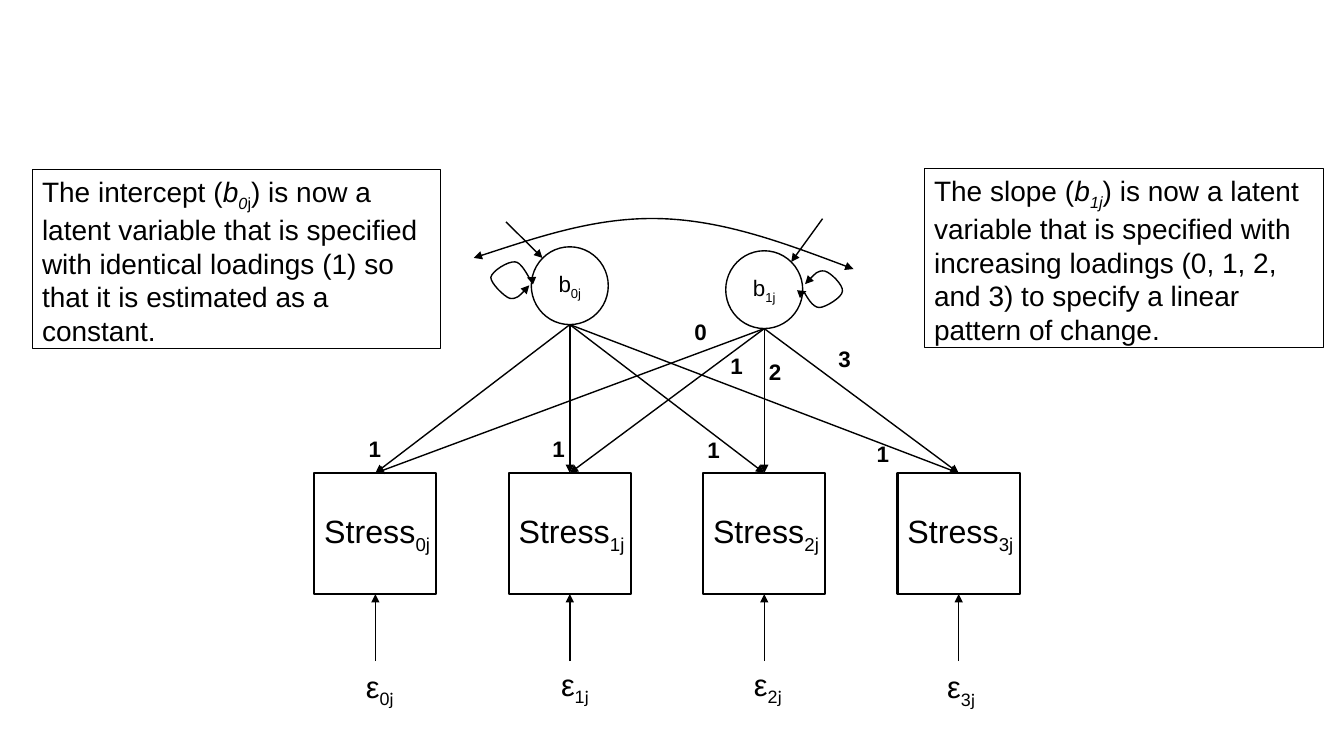
"""Build a slide with a latent growth curve path diagram of stress."""
from typing import NamedTuple

from lxml.etree import SubElement
from pptx import Presentation
from pptx.dml.color import RGBColor
from pptx.enum.shapes import MSO_CONNECTOR, MSO_SHAPE
from pptx.enum.text import MSO_ANCHOR as ANCHOR, PP_ALIGN as ALIGN
from pptx.oxml.ns import qn
from pptx.util import Cm, Pt

BLACK = RGBColor(0, 0, 0)
WHITE = RGBColor(255, 255, 255)
FIRST_CENTER, PITCH = 9.46, 4.9
BOX_TOP, BOX_W, BOX_H = 11.92, 3.08, 3.05
CIRCLE_W, CIRCLE_H = 1.94, 1.96
Point = tuple[float, float]


class Run(NamedTuple):
    text: str
    sub: bool = False
    italic: bool = False
    font: str = "Arial"


class Note(NamedTuple):
    left: float
    top: float
    width: float
    runs: list[Run]


class Label(NamedTuple):
    text: str
    left: float
    top: float


class Latent(NamedTuple):
    name: str
    column: int
    top: float


NOTES = [
    Note(0.81, 4.27, 10.29, [
        Run("The intercept ("), Run("b", italic=True), Run("0", True, True), Run("j", True),
        Run(") is now a latent variable that is specified with identical loadings (1) "
            "so that it is estimated as a constant.")]),
    Note(23.29, 4.24, 10.06, [
        Run("The slope ("), Run("b", italic=True), Run("1j", True, True),
        Run(") is now a latent variable that is specified with increasing loadings "
            "(0, 1, 2, and 3) to specify a linear pattern of change.")]),
]
LATENTS = [Latent("0j", 1, 6.22), Latent("1j", 2, 6.32)]
LOADINGS = [
    Label("1", 9.04, 10.85), Label("1", 13.67, 10.85), Label("1", 17.58, 10.87),
    Label("1", 21.84, 10.97), Label("0", 17.25, 7.9), Label("1", 18.16, 8.74),
    Label("2", 19.13, 8.89), Label("3", 20.88, 8.56),
]
ERRORS = [Label("0", 8.97, 16.69), Label("1", 13.89, 16.64),
          Label("2", 18.75, 16.64), Label("3", 23.62, 16.71)]
MEAN_ARROWS = [((12.75, 5.59), (13.67, 6.5)), ((20.73, 5.51), (19.94, 6.6))]
COVARIANCE = [(11.94, 6.5), (13.51, 5.99), (15.06, 5.46), (16.66, 5.51),
              (18.26, 5.56), (19.89, 6.17), (21.51, 6.78)]
INTERCEPT_LOOP = [
    (13.34, 7.19), (13.18, 7.37), (13.03, 7.54), (12.85, 7.52),
    (12.7, 7.47), (12.37, 7.14), (12.37, 6.99), (12.4, 6.83), (12.8, 6.58), (12.98, 6.6),
    (13.13, 6.6), (13.31, 6.96), (13.36, 7.04), (13.44, 7.11), (13.36, 7.04), (13.28, 6.99)]
SLOPE_LOOP = [
    (20.29, 7.16), (20.45, 6.99), (20.6, 6.81), (20.78, 6.83),
    (20.93, 6.86), (21.26, 7.19), (21.23, 7.34), (21.23, 7.49), (20.8, 7.75), (20.65, 7.75),
    (20.47, 7.75), (20.29, 7.39), (20.24, 7.32), (20.19, 7.24), (20.27, 7.29), (20.32, 7.34)]


def write(shape, runs: list[Run], size: float, align=ALIGN.LEFT, anchor=ANCHOR.TOP,
          wrap: bool = True, bold: bool = False) -> None:
    tf = shape.text_frame
    tf.word_wrap = wrap
    tf.vertical_anchor = anchor
    p = tf.paragraphs[0]
    p.alignment = align
    p.font.size = Pt(size)
    p.font.color.rgb = BLACK
    p.font.bold = bold
    if len({run.font for run in runs}) == 1:
        p.font.name = runs[0].font
    for run in runs:
        r = p.add_run()
        r.text = run.text
        if run.font != p.font.name:
            r.font.name = run.font
        if run.italic:
            r.font.italic = True
        if run.sub:
            r.font._element.set("baseline", "-25000")


def outline(shape, width: float, fill: RGBColor | None = None) -> None:
    shape.shadow.inherit = False
    shape.line.color.rgb = BLACK
    shape.line.width = Pt(width)
    if fill is None:
        shape.fill.background()
    else:
        shape.fill.solid()
        shape.fill.fore_color.rgb = fill


def add_heads(shape, *ends: str) -> None:
    ln = shape.line._get_or_add_ln()
    for end in ends:
        SubElement(ln, qn(f"a:{end}"), type="triangle")


def add_arrow(s, start: Point, end: Point):
    line = s.shapes.add_connector(MSO_CONNECTOR.STRAIGHT, *map(Cm, start + end))
    line.line.color.rgb = BLACK
    line.line.width = Pt(1)
    add_heads(line, "tailEnd")
    SubElement(line._element.spPr, qn("a:effectLst"))
    return line


def add_curve(s, points: list[Point]) -> None:
    """Draw a double-headed chain of cubic curves."""
    (x, y), *rest = points
    builder = s.shapes.build_freeform(Cm(x), Cm(y))
    builder.add_line_segments([(Cm(px), Cm(py)) for px, py in rest], close=False)
    curve = builder.convert_to_shape()
    outline(curve, 1)
    add_heads(curve, "headEnd", "tailEnd")
    path = next(curve._element.iter(qn("a:path")))
    segments = path.findall(qn("a:lnTo"))
    for i in range(0, len(segments), 3):
        bezier = SubElement(path, qn("a:cubicBezTo"))
        for segment in segments[i:i + 3]:
            bezier.append(segment[0])
            path.remove(segment)


def add_box(s, column: int):
    left = FIRST_CENTER + column * PITCH - BOX_W / 2
    box = s.shapes.add_shape(MSO_SHAPE.RECTANGLE, Cm(left), Cm(BOX_TOP), Cm(BOX_W), Cm(BOX_H))
    outline(box, 1.5)
    write(box, [Run("Stress"), Run(f"{column}j", True)], 23, anchor=ANCHOR.MIDDLE, wrap=False)
    return box


def add_latent(s, latent: Latent, boxes: list) -> None:
    center = FIRST_CENTER + latent.column * PITCH
    circle = s.shapes.add_shape(MSO_SHAPE.OVAL, Cm(center - CIRCLE_W / 2), Cm(latent.top),
                                Cm(CIRCLE_W), Cm(CIRCLE_H))
    outline(circle, 1, WHITE)
    write(circle, [Run("b"), Run(latent.name, True)], 16, ALIGN.CENTER, ANCHOR.MIDDLE, False)
    for box in boxes:
        add_arrow(s, (center, latent.top + CIRCLE_H), (center, BOX_TOP)).end_connect(box, 0)


def main() -> None:
    prs = Presentation()
    prs.slide_width, prs.slide_height = Cm(33.87), Cm(19.05)
    s = prs.slides.add_slide(prs.slide_layouts[6])
    boxes = [add_box(s, column) for column in range(4)]
    for column, box in enumerate(boxes):
        x = FIRST_CENTER + column * PITCH
        add_arrow(s, (x, 16.66), (x, BOX_TOP + BOX_H)).end_connect(box, 2)
    for latent in LATENTS:
        add_latent(s, latent, boxes)
    for start, end in MEAN_ARROWS:
        add_arrow(s, start, end)
    for points in (COVARIANCE, INTERCEPT_LOOP, SLOPE_LOOP):
        add_curve(s, points)
    for text, left, top in LOADINGS:
        tb = s.shapes.add_textbox(Cm(left), Cm(top), Cm(0.84), Cm(0.94))
        write(tb, [Run(text)], 16, wrap=False, bold=True)
    for text, left, top in ERRORS:
        tb = s.shapes.add_textbox(Cm(left), Cm(top), Cm(1.5), Cm(1.19))
        write(tb, [Run("ε"), Run(text, True), Run("j", True, font="Calibri")], 22)
    for note in NOTES:
        sp = s.shapes.add_shape(MSO_SHAPE.RECTANGLE, Cm(note.left), Cm(note.top),
                                Cm(note.width), Cm(4.52))
        outline(sp, 0.75)
        write(sp, note.runs, 20)
    prs.save("out.pptx")


if __name__ == "__main__":
    main()
